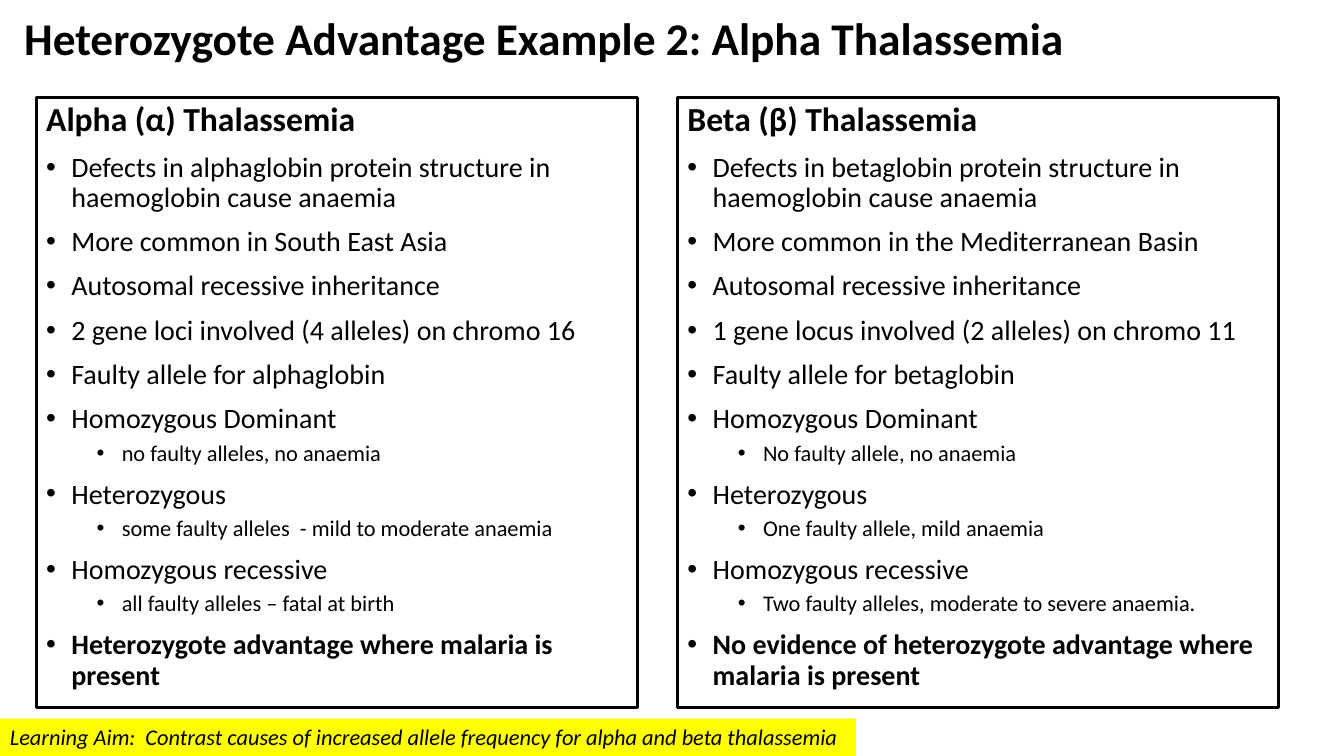
"""Build a slide comparing alpha and beta thalassemia in two panels."""
from lxml import etree
from pptx import Presentation
from pptx.dml.color import RGBColor
from pptx.enum.shapes import MSO_SHAPE as SHAPE
from pptx.enum.text import MSO_ANCHOR as ANCHOR, PP_ALIGN as ALIGN
from pptx.oxml.ns import qn
from pptx.util import Inches, Pt


def color(hex_string):
    return RGBColor.from_string(hex_string)


def add_run(p, text, size, bold=False, italic=False):
    p.alignment = ALIGN.LEFT
    r = p.add_run()
    r.text = text
    r.font.name, r.font.size = "Calibri", Pt(size)
    r.font.bold, r.font.italic = bold, italic
    r.font.color.rgb = color("000000")


HEAD, ITEM, SUB, KEY = "head", "item", "sub", "key"
STYLES = {
    HEAD: dict(size=24, bold=True, before=0, indent=0),
    ITEM: dict(size=20, bold=False, before=10, indent=0.25),
    SUB: dict(size=16, bold=False, before=5, indent=0.75),
    KEY: dict(size=20, bold=True, before=10, indent=0.25),
}
ROWS = [
    (HEAD, "Alpha (α) Thalassemia", "Beta (β) Thalassemia"),
    (ITEM, "Defects in alphaglobin protein structure in haemoglobin cause anaemia",
     "Defects in betaglobin protein structure in haemoglobin cause anaemia"),
    (ITEM, "More common in South East Asia", "More common in the Mediterranean Basin"),
    (ITEM, "Autosomal recessive inheritance", "Autosomal recessive inheritance"),
    (ITEM, "2 gene loci involved (4 alleles) on chromo 16",
     "1 gene locus involved (2 alleles) on chromo 11"),
    (ITEM, "Faulty allele for alphaglobin", "Faulty allele for betaglobin"),
    (ITEM, "Homozygous Dominant", "Homozygous Dominant"),
    (SUB, "no faulty alleles, no anaemia", "No faulty allele, no anaemia"),
    (ITEM, "Heterozygous", "Heterozygous"),
    (SUB, "some faulty alleles  - mild to moderate anaemia",
     "One faulty allele, mild anaemia"),
    (ITEM, "Homozygous recessive", "Homozygous recessive"),
    (SUB, "all faulty alleles – fatal at birth",
     "Two faulty alleles, moderate to severe anaemia."),
    (KEY, "Heterozygote advantage where malaria is present",
     "No evidence of heterozygote advantage where malaria is present"),
]
LEFT, TOP, WIDTH, HEIGHT, GAP = 0.36, 0.97, 5.96, 6.05, 0.4

prs = Presentation()
prs.slide_width, prs.slide_height = Inches(13.33), Inches(7.5)
s = prs.slides.add_slide(prs.slide_layouts[5])

title = s.shapes.title
title.left, title.top = Inches(0.14), Inches(0)
title.width, title.height = Inches(10.87), Inches(0.8)
tf = title.text_frame
tf.word_wrap, tf.vertical_anchor = True, ANCHOR.MIDDLE
p = tf.paragraphs[0]
p.line_spacing = 0.9
add_run(p, "Heterozygote Advantage Example 2: Alpha Thalassemia", 32.4, bold=True)

for col in range(2):
    panel = s.shapes.add_shape(SHAPE.RECTANGLE, Inches(LEFT + col * (WIDTH + GAP)),
                               Inches(TOP), Inches(WIDTH), Inches(HEIGHT))
    panel.shadow.inherit = False
    panel.fill.background()
    panel.line.color.rgb, panel.line.width = color("000000"), Pt(2.25)
    tf = panel.text_frame
    tf.word_wrap, tf.vertical_anchor = True, ANCHOR.TOP
    for i, (kind, *texts) in enumerate(ROWS):
        style = STYLES[kind]
        p = tf.add_paragraph() if i else tf.paragraphs[0]
        p.level = 1 if kind == SUB else 0
        p.line_spacing, p.space_before = 0.9, Pt(style["before"])
        if style["indent"]:
            pPr = p._p.get_or_add_pPr()
            pPr.set("marL", str(Inches(style["indent"])))
            pPr.set("indent", str(Inches(-0.25)))
            etree.SubElement(pPr, qn("a:buFont"), typeface="Arial")
            etree.SubElement(pPr, qn("a:buChar"), char="•")
        add_run(p, texts[col], style["size"], style["bold"])

aim = s.shapes.add_shape(SHAPE.RECTANGLE, Inches(0), Inches(7.13), Inches(8.49), Inches(0.37))
aim.shadow.inherit = False
aim.fill.solid()
aim.fill.fore_color.rgb = color("FFFF00")
aim.line.fill.background()
tf = aim.text_frame
tf.word_wrap, tf.vertical_anchor = True, ANCHOR.TOP
add_run(tf.paragraphs[0], "Learning Aim:  Contrast causes of increased allele frequency "
        "for alpha and beta thalassemia", 16, italic=True)

prs.save("out.pptx")
